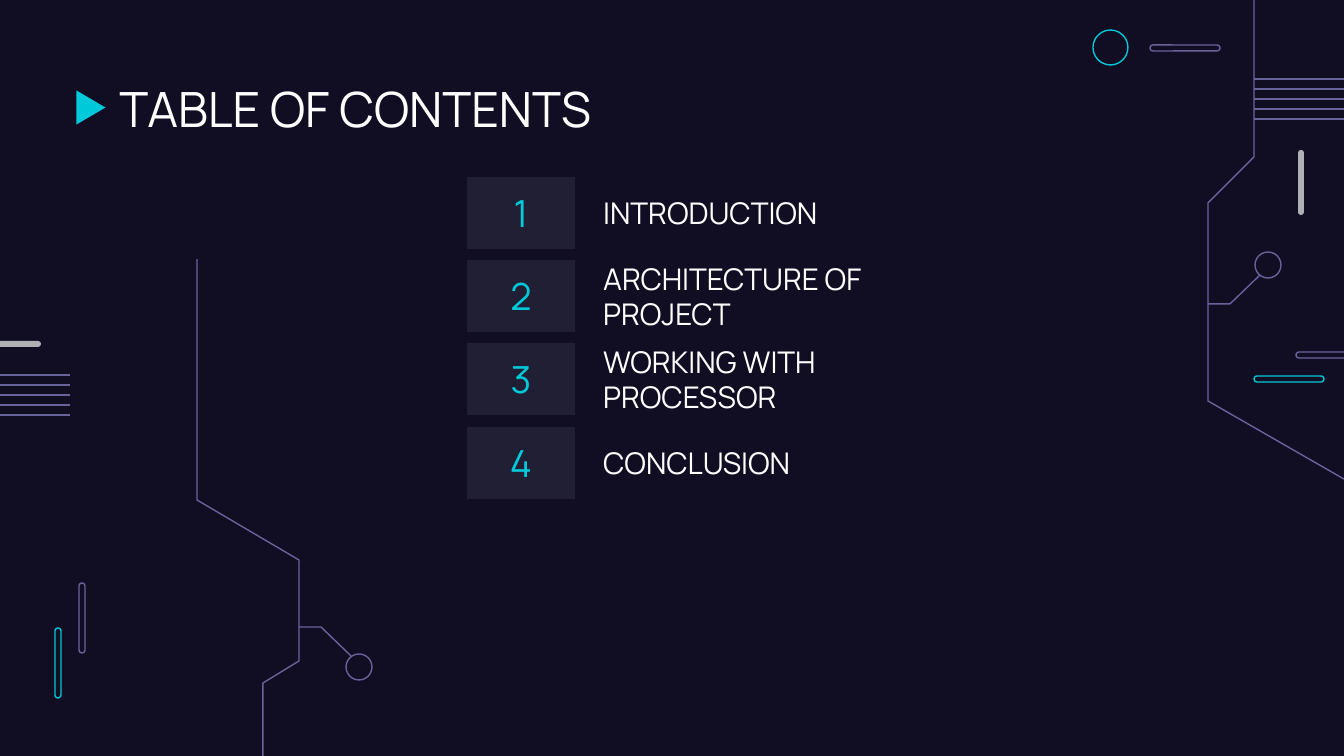
import pptx
import pptx.util
import pptx.dml.color
import pptx.enum.shapes
import pptx.enum.text
import pptx.oxml.ns
from dataclasses import dataclass
from lxml import etree

SHAPE = pptx.enum.shapes.MSO_SHAPE
ALIGN = pptx.enum.text.PP_ALIGN
PX = 914400 / 134.4


@dataclass(frozen=True)
class Theme:
    background: str = "110E24"
    accent: str = "00CADA"
    trace: str = "69639C"
    bar: str = "AFAFB6"
    text: str = "FFFFFF"
    font: str = "Manrope"
    title_size: int = 26
    number_size: int = 20
    topic_size: int = 16
    line_width: float = 0.75


theme = Theme()


def paint(shape, fill=None, line=None):
    """Give the shape a solid fill and outline, or none, and no shadow."""
    shape.shadow.inherit = False
    if fill:
        shape.fill.solid()
        shape.fill.fore_color.rgb = pptx.dml.color.RGBColor.from_string(fill)
    else:
        shape.fill.background()
    if line:
        shape.line.color.rgb = pptx.dml.color.RGBColor.from_string(line)
        shape.line.width = pptx.util.Pt(theme.line_width)
    else:
        shape.line.fill.background()


def write(shape, text, size, color, align=ALIGN.LEFT):
    frame = shape.text_frame
    frame.text = text
    frame.word_wrap = True
    frame.auto_size = pptx.enum.text.MSO_AUTO_SIZE.NONE
    frame.vertical_anchor = pptx.enum.text.MSO_ANCHOR.MIDDLE
    frame.margin_left = frame.margin_right = pptx.util.Inches(0.1)
    frame.margin_top = frame.margin_bottom = pptx.util.Inches(0.1)
    paragraph = frame.paragraphs[0]
    paragraph.alignment = align
    font = paragraph.runs[0].font
    font.name = theme.font
    font.size = pptx.util.Pt(size)
    font.color.rgb = pptx.dml.color.RGBColor.from_string(color)


deck = pptx.Presentation()
deck.slide_width = round(1344 * PX)
deck.slide_height = round(756 * PX)
slide = deck.slides.add_slide(deck.slide_layouts[5])
slide.background.fill.solid()
slide.background.fill.fore_color.rgb = pptx.dml.color.RGBColor.from_string(theme.background)
shapes = slide.shapes

# Circuit traces
traces = [
    [(1344, 479), (1208, 401), (1208, 203), (1254, 157), (1254, 0)],
    [(1260, 275), (1230, 304), (1208, 304)],
    [(197, 259), (197, 500), (299, 560), (299, 661), (263, 683), (263, 756)],
    [(351, 656), (321, 627), (299, 627)],
]
for start, *bends in traces:
    builder = shapes.build_freeform(*start, scale=PX)
    builder.add_line_segments(bends, close=False)
    paint(builder.convert_to_shape(), line=theme.trace)

# Bundles of parallel wires at both edges
for left, right, top in [(1254, 1344, 79), (0, 70, 375)]:
    for wire in range(5):
        y = round((top + 10 * wire) * PX)
        connector = shapes.add_connector(
            pptx.enum.shapes.MSO_CONNECTOR.STRAIGHT, round(left * PX), y, round(right * PX), y)
        connector.line.color.rgb = pptx.dml.color.RGBColor.from_string(theme.trace)
        connector.line.width = pptx.util.Pt(theme.line_width)
        etree.SubElement(connector.element.spPr, pptx.oxml.ns.qn("a:effectLst"))

# Circuit nodes
for left, top, diameter, color in [
    (1093, 30, 35, theme.accent),
    (1255, 252, 26, theme.trace),
    (346, 654, 26, theme.trace),
]:
    node = shapes.add_shape(
        SHAPE.OVAL, *(round(n * PX) for n in (left, top, diameter, diameter)))
    paint(node, line=color)

# Rounded bars
for box, fill, line in [
    ((55, 628, 6, 70), None, theme.accent),
    ((79, 583, 6, 70), None, theme.trace),
    ((1254, 376, 70, 6), None, theme.accent),
    ((1296, 352, 70, 6), None, theme.trace),
    ((1150, 45, 70, 6), None, theme.trace),
    ((1298, 150, 6, 65), theme.bar, None),
    ((-23, 341, 64, 6), theme.bar, None),
]:
    bar = shapes.add_shape(SHAPE.ROUNDED_RECTANGLE, *(round(n * PX) for n in box))
    bar.adjustments[0] = 0.5
    paint(bar, fill, line)

# Title and its marker
marker = shapes.add_shape(
    SHAPE.FLOWCHART_MERGE, *(round(n * PX) for n in (74, 93, 34, 29)))
marker.rotation = 270
paint(marker, theme.accent)

title = shapes.title
title.left, title.top, title.width, title.height = (
    round(n * PX) for n in (106, 66, 1132, 85))
write(title, "TABLE OF CONTENTS", theme.title_size, theme.text)

# Numbered topics
topics = ["INTRODUCTION", "ARCHITECTURE OF PROJECT", "WORKING WITH PROCESSOR", "CONCLUSION"]
for row, topic in enumerate(topics):
    top = 177 + row * 250 // 3
    number = shapes.add_shape(
        SHAPE.RECTANGLE, *(round(n * PX) for n in (467, top, 108, 72)))
    paint(number, theme.text)
    tint = number.element.spPr.find(".//" + pptx.oxml.ns.qn("a:srgbClr"))
    etree.SubElement(tint, pptx.oxml.ns.qn("a:alpha"), val="7000")
    write(number, str(row + 1), theme.number_size, theme.accent, ALIGN.CENTER)
    label = shapes.add_textbox(*(round(n * PX) for n in (590, top, 399, 72)))
    write(label, topic, theme.topic_size, theme.text)

deck.save("out.pptx")
